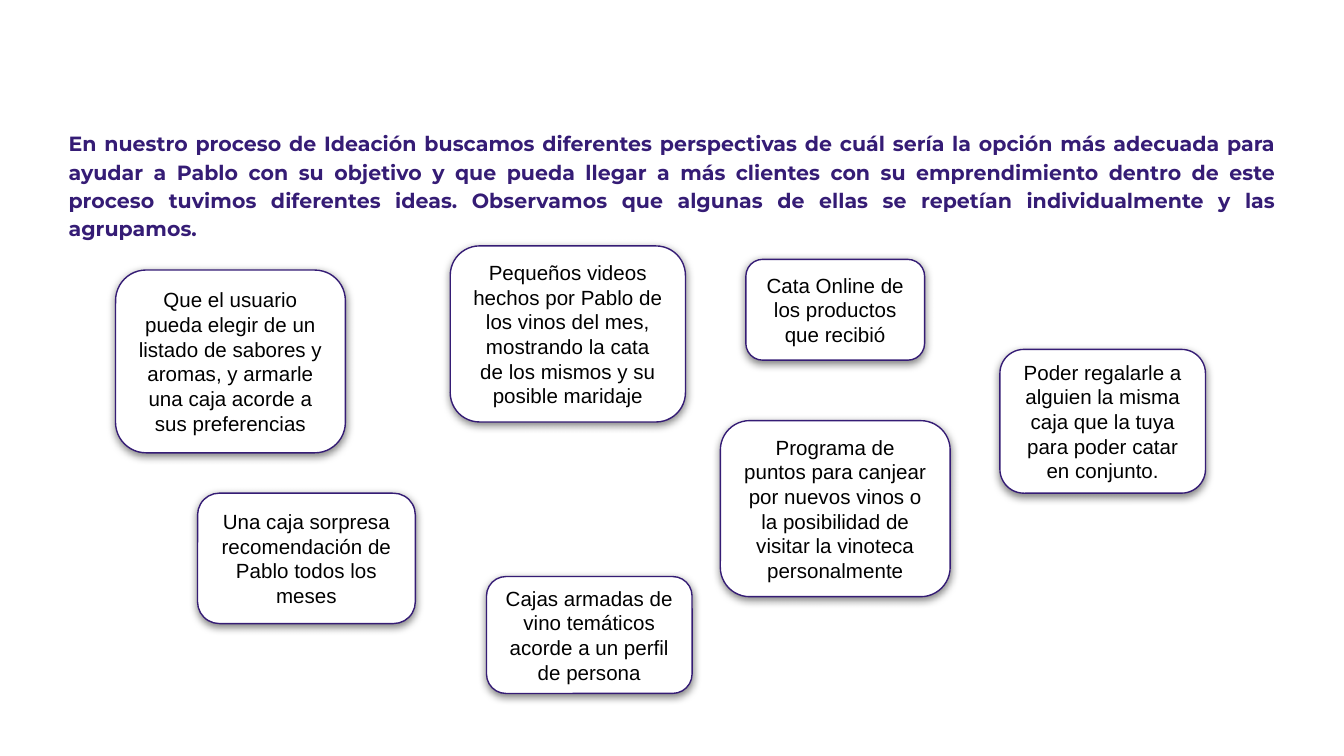
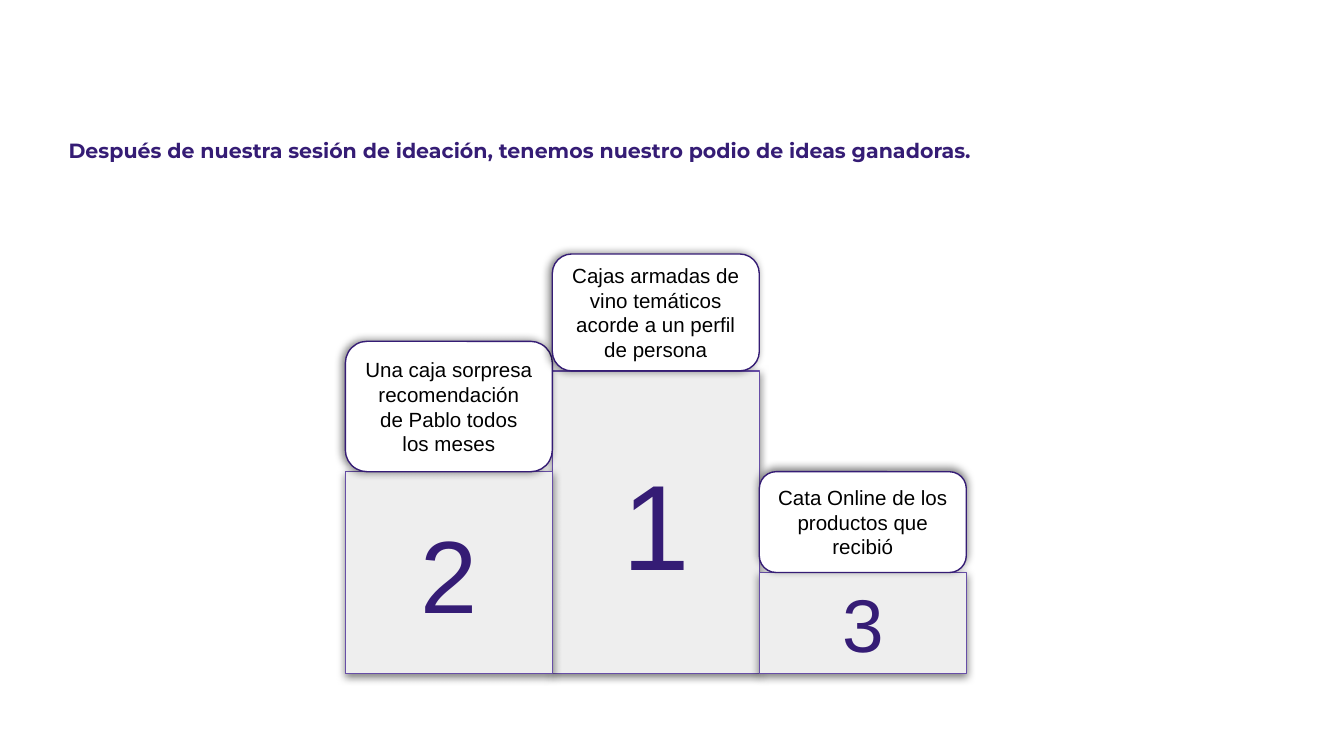
"""Build two slides on an ideation session: the grouped ideas and the winners' podium."""
from dataclasses import dataclass

from lxml.etree import SubElement
from pptx import Presentation
from pptx.dml.color import RGBColor
from pptx.enum.shapes import MSO_SHAPE as Shape
from pptx.enum.text import MSO_ANCHOR as Anchor, MSO_AUTO_SIZE as AutoSize, PP_ALIGN as Align
from pptx.oxml.ns import qn
from pptx.util import Inches, Pt

SLIDE_WIDTH = Inches(10)
SLIDE_HEIGHT = SLIDE_WIDTH * 9 // 16
PURPLE, VIOLET = "351C75", "674EA7"
WHITE, GREY, BLACK = "FFFFFF", "EEEEEE", "000000"
INSETS = {f"margin_{side}": Inches(0.1) for side in ("left", "top", "right", "bottom")}
STATEMENT_FRAME = {**INSETS, "word_wrap": True, "vertical_anchor": Anchor.TOP,
                   "auto_size": AutoSize.SHAPE_TO_FIT_TEXT}
BLOCK_FRAME = {**INSETS, "word_wrap": True, "vertical_anchor": Anchor.MIDDLE}
STATEMENT_PARAGRAPH = {"alignment": Align.JUSTIFY, "line_spacing": 1.15, "space_before": Pt(0)}
BLOCK_PARAGRAPH = {"alignment": Align.CENTER}

THEMED_BOXES = "Cajas armadas de vino temáticos acorde a un perfil de persona"
SURPRISE_BOX = "Una caja sorpresa recomendación de Pablo todos los meses"
ONLINE_TASTING = "Cata Online de los productos que recibió"
IDEATION = (
    "En nuestro proceso de Ideación buscamos diferentes perspectivas de cuál sería la opción "
    "más adecuada para ayudar a Pablo con su objetivo y que pueda llegar a más clientes con su "
    "emprendimiento dentro de este proceso tuvimos diferentes ideas. Observamos que algunas de "
    "ellas se repetían individualmente y las agrupamos."
)
WINNERS = "Después de nuestra sesión de ideación, tenemos nuestro podio de ideas ganadoras."

STEP_WIDTH, STEP_RISE = 1.54, 0.75
PODIUM_LEFT, PODIUM_BASE = 2.57, 5.01


@dataclass(frozen=True)
class Box:
    """Position and size in inches."""
    left: float
    top: float
    width: float
    height: float

    def lengths(self) -> list:
        """Return the four values as slide lengths."""
        return [Inches(v) for v in (self.left, self.top, self.width, self.height)]


@dataclass(frozen=True)
class Style:
    """Look of a block."""
    outline: Shape
    fill: str
    line: str
    ink: str


@dataclass(frozen=True)
class Idea:
    """An idea card and its place."""
    text: str
    box: Box


@dataclass(frozen=True)
class Winner:
    """A podium step with the idea standing on it."""
    rank: int
    column: int
    number_size: int
    idea: str
    card_height: float
    shadow_angle: int

    def step(self) -> Box:
        """Return the box of the step, higher for a better rank."""
        height = STEP_RISE * (4 - self.rank)
        left = PODIUM_LEFT + self.column * STEP_WIDTH
        return Box(left, PODIUM_BASE - height, STEP_WIDTH, height)

    def card(self) -> Box:
        """Return the box of the card resting on the step."""
        step = self.step()
        return Box(step.left, step.top - self.card_height, STEP_WIDTH, self.card_height)


CARD = Style(Shape.ROUNDED_RECTANGLE, WHITE, PURPLE, BLACK)
STEP = Style(Shape.RECTANGLE, GREY, VIOLET, PURPLE)

IDEAS = [
    Idea(THEMED_BOXES, Box(3.62, 4.29, 1.53, 0.87)),
    Idea(SURPRISE_BOX, Box(1.47, 3.67, 1.62, 0.97)),
    Idea(ONLINE_TASTING, Box(5.55, 1.93, 1.33, 0.75)),
    Idea("Pequeños videos hechos por Pablo de los vinos del mes, mostrando la cata de los "
         "mismos y su posible maridaje", Box(3.35, 1.83, 1.75, 1.31)),
    Idea("Poder regalarle a alguien la misma caja que la tuya para poder catar en conjunto.",
         Box(7.44, 2.6, 1.53, 1.07)),
    Idea("Que el usuario pueda elegir de un listado de sabores y aromas, y armarle una caja "
         "acorde a sus preferencias", Box(0.86, 2.01, 1.71, 1.36)),
    Idea("Programa de puntos para canjear por nuevos vinos o la posibilidad de visitar la "
         "vinoteca personalmente", Box(5.36, 3.13, 1.71, 1.31)),
]
PODIUM = [
    Winner(1, 1, 65, THEMED_BOXES, 0.87, 180),
    Winner(2, 0, 55, SURPRISE_BOX, 0.97, 187),
    Winner(3, 2, 40, ONLINE_TASTING, 0.75, 271),
]


def colour(value: str) -> RGBColor:
    """Turn a hex string into a colour."""
    return RGBColor.from_string(value)


def apply(target, values: dict) -> None:
    """Set each format value on the target."""
    for name, value in values.items():
        setattr(target, name, value)


def write(shape, text: str, frame: dict, paragraph_format: dict, font: dict, ink: str) -> None:
    """Put one formatted paragraph in a shape."""
    shape.text_frame.text = text
    paragraph = shape.text_frame.paragraphs[0]
    apply(shape.text_frame, frame)
    apply(paragraph, paragraph_format)
    run_font = paragraph.runs[0].font
    apply(run_font, font)
    run_font.color.rgb = colour(ink)


def cast_shadow(shape, angle: int) -> None:
    """Give a shape a soft half-transparent shadow."""
    shape.shadow.inherit = False
    effects = shape._element.spPr.find(qn("a:effectLst"))
    shadow = SubElement(effects, qn("a:outerShdw"), blurRad=str(Pt(4.5)), dist=str(Pt(1.5)),
                        dir=str(angle * 60000), algn="bl", rotWithShape="0")
    tint = SubElement(shadow, qn("a:srgbClr"), val=BLACK)
    SubElement(tint, qn("a:alpha"), val="50000")


def add_block(slide, text: str, box: Box, style: Style, size: int = 11, angle: int = 90) -> None:
    """Draw a shadowed block with centred text."""
    block = slide.shapes.add_shape(style.outline, *box.lengths())
    block.fill.solid()
    block.fill.fore_color.rgb = colour(style.fill)
    block.line.color.rgb = colour(style.line)
    block.line.width = Pt(0.75)
    cast_shadow(block, angle)
    write(block, text, BLOCK_FRAME, BLOCK_PARAGRAPH,
          {"name": "Arial", "size": Pt(size), "bold": False}, style.ink)


def add_slide(deck, statement: str, top: float, height: float):
    """Add a slide headed by its statement."""
    slide = deck.slides.add_slide(deck.slide_layouts[5])
    slide.background.fill.solid()
    slide.background.fill.fore_color.rgb = colour(WHITE)
    title = slide.shapes.title
    places = Box(0.41, top, 9.19, height).lengths()
    apply(title, dict(zip(("left", "top", "width", "height"), places)))
    write(title, statement, STATEMENT_FRAME, STATEMENT_PARAGRAPH,
          {"name": "Montserrat", "size": Pt(11), "bold": True}, PURPLE)
    return slide


def add_ideas(deck) -> None:
    """Build the slide of grouped ideas."""
    slide = add_slide(deck, IDEATION, 0.85, 1.03)
    for idea in IDEAS:
        add_block(slide, idea.text, idea.box, CARD)


def add_podium(deck) -> None:
    """Build the slide of winning ideas."""
    slide = add_slide(deck, WINNERS, 0.9, 0.39)
    for winner in PODIUM:
        add_block(slide, str(winner.rank), winner.step(), STEP, winner.number_size)
    for winner in sorted(PODIUM, key=lambda w: w.column):
        add_block(slide, winner.idea, winner.card(), CARD, angle=winner.shadow_angle)


def main() -> None:
    """Build and save the presentation."""
    deck = Presentation()
    apply(deck, {"slide_width": SLIDE_WIDTH, "slide_height": SLIDE_HEIGHT})
    add_ideas(deck)
    add_podium(deck)
    deck.save("out.pptx")


if __name__ == "__main__":
    main()
